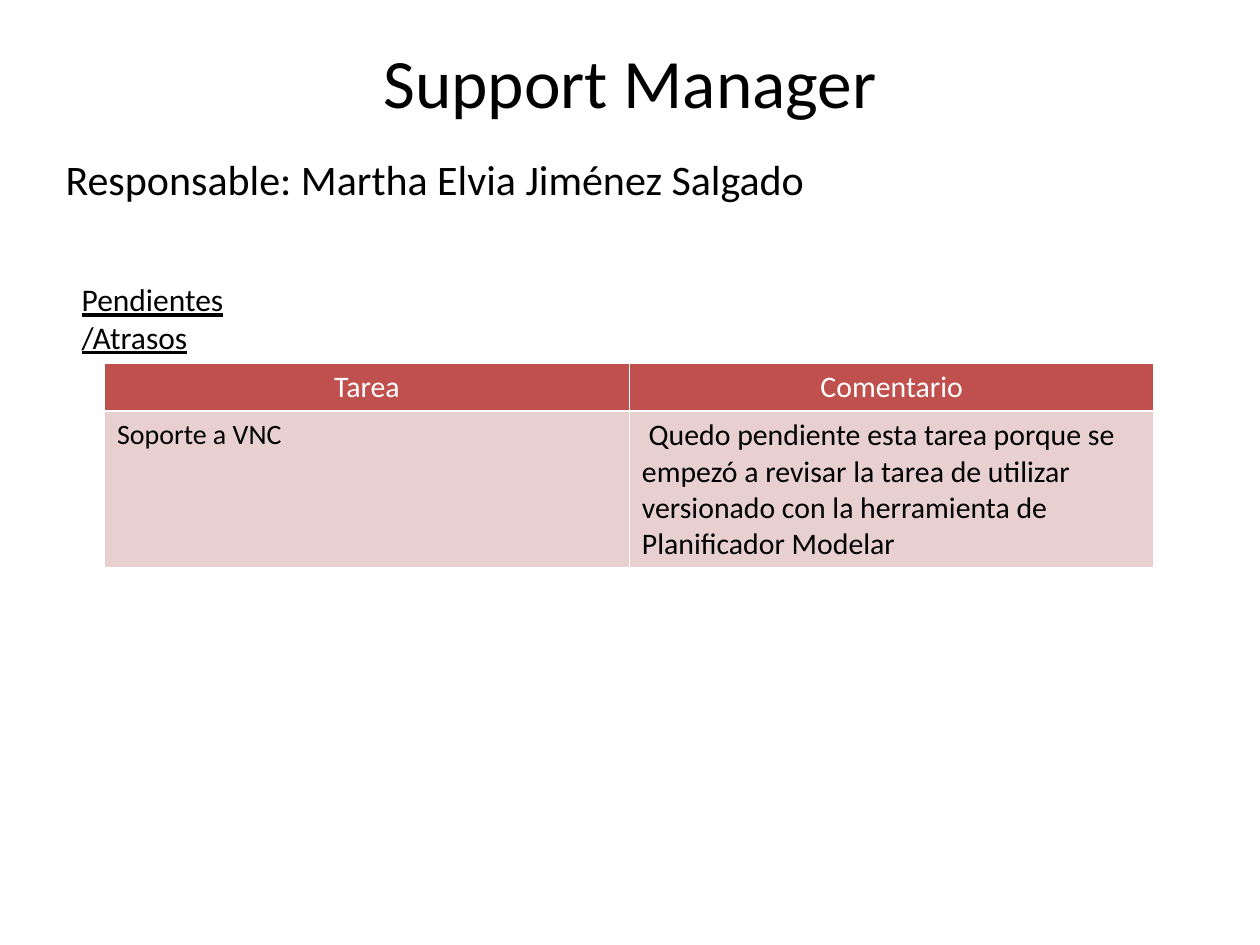
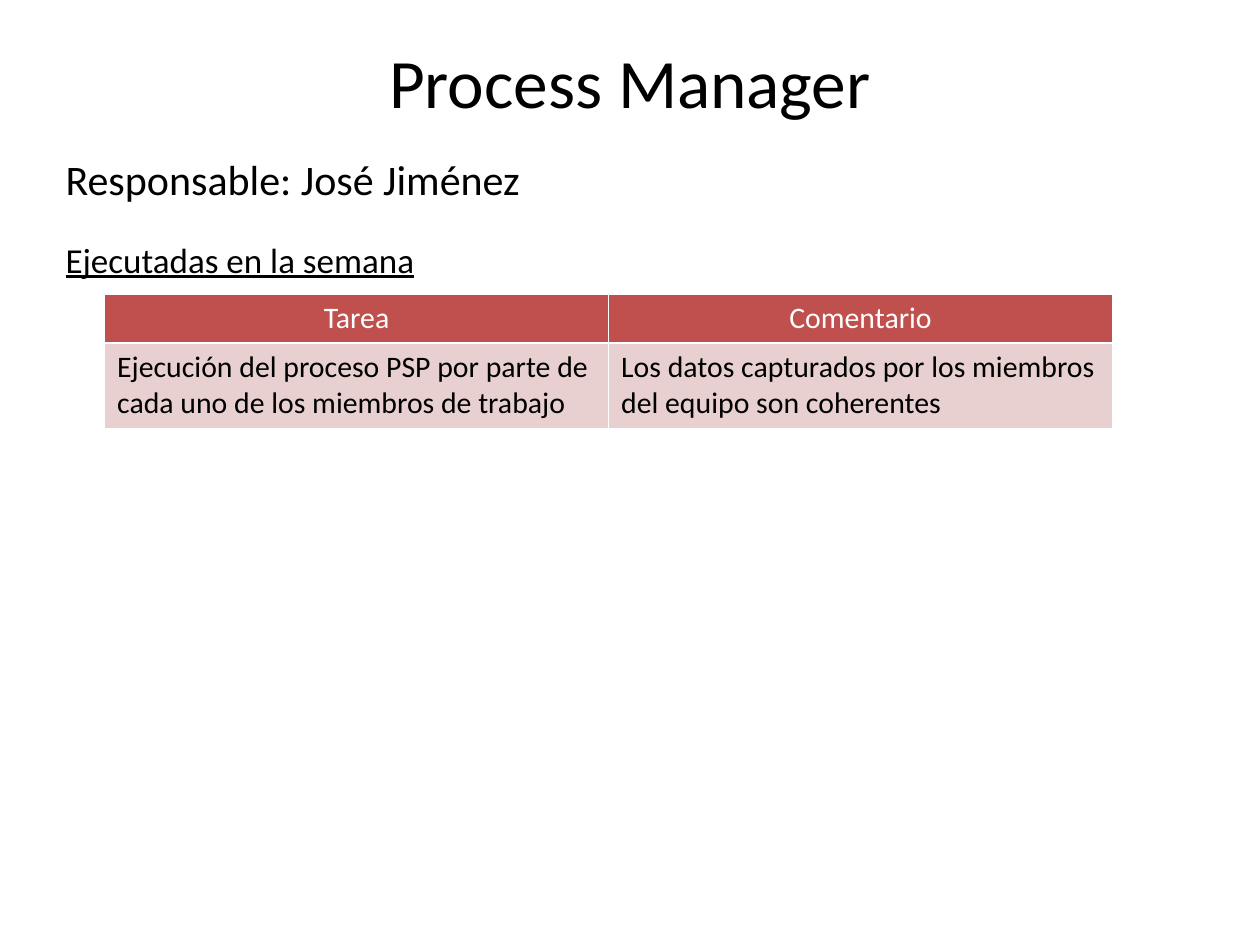
"""Builds two weekly status slides, each with a lead and a task table."""
from dataclasses import dataclass
from typing import Optional

from lxml.etree import SubElement
from pptx import Presentation
from pptx.dml.color import RGBColor as Rgb
from pptx.enum.text import MSO_ANCHOR as Anchor, MSO_AUTO_SIZE as Fit, PP_ALIGN as Align
from pptx.oxml import parse_xml
from pptx.oxml.ns import nsdecls, qn
from pptx.util import Inches, Pt

WIDE, HIGH = Inches(10), Inches(7.5)


@dataclass(frozen=True)
class Theme:
    face: str = "Calibri"
    ink: str = "000000"
    white: str = "FFFFFF"
    head: str = "C0504D"
    row: str = "E8D0D0"
    title: float = 39.6
    lead: float = 24
    topic: float = 20
    note: float = 18
    cell: float = 17
    small: float = 16
    gap: float = 19.5
    rule: float = 1


@dataclass(frozen=True)
class Box:
    left: float
    top: float
    width: float
    height: float

    def place(self, shape) -> None:
        shape.left, shape.top, shape.width, shape.height = self.emu()

    def emu(self) -> tuple:
        return (int(WIDE * self.left), int(HIGH * self.top),
                int(WIDE * self.width), int(HIGH * self.height))


@dataclass(frozen=True)
class Task:
    name: str
    note: str
    size: float


@dataclass(frozen=True)
class Page:
    title: str
    lead: str
    grid: Box
    task: Task
    topic: Optional[str] = None
    label: Optional[str] = None


THEME = Theme()
TITLE = Box(0.05, 0.04, 0.9, 0.09)
BODY = Box(0.04, 0.16, 0.93, 0.17)
LABEL = Box(0.055, 0.29, 0.22, 0.05)
BODY = Box(0.042, 0.156, 0.933, 0.167)
HEADS = ("Tarea", "Comentario")
HEAD_ROW = Inches(0.38)
INDENT = Inches(0.38)

PAGES = (
    Page("Support Manager", "Responsable: Martha Elvia Jiménez Salgado",
         Box(0.083, 0.384, 0.833, 0.216),
         Task("Soporte a VNC",
              " Quedo pendiente esta tarea porque se empezó a revisar la tarea de "
              "utilizar versionado con la herramienta de Planificador Modelar",
              THEME.small),
         label="Pendientes /Atrasos"),
    Page("Process Manager", "Responsable: José Jiménez",
         Box(0.083, 0.311, 0.8, 0.14),
         Task("Ejecución del proceso PSP por parte de cada uno de los miembros de trabajo",
              "Los datos capturados por los miembros del equipo son coherentes",
              THEME.cell),
         topic="Ejecutadas en la semana"),
)


def write(para, text: str, size: float, color: str = THEME.ink,
          align: Align = Align.LEFT, under: bool = False) -> None:
    para.text = text
    para.alignment = align
    font = para.font
    font.name, font.size = THEME.face, Pt(size)
    font.color.rgb = Rgb.from_string(color)
    if under:
        font.underline = True


def hang(para) -> None:
    props = para._p.get_or_add_pPr()
    props.set("marL", str(INDENT))
    props.set("indent", str(-INDENT))
    rest = props.find(qn("a:defRPr"))
    SubElement(props, qn("a:buNone"))
    if rest is not None:
        props.append(rest)


def edge(cell) -> None:
    props = cell._tc.get_or_add_tcPr()
    for spot, side in enumerate("LRTB"):
        line = parse_xml(
            f'<a:ln{side} {nsdecls("a")} w="{Pt(THEME.rule)}"><a:solidFill>'
            f'<a:srgbClr val="{THEME.white}"/></a:solidFill></a:ln{side}>')
        props.insert(spot, line)


def fill(cell, text: str, size: float, back: str, color: str, align: Align) -> None:
    cell.fill.solid()
    cell.fill.fore_color.rgb = Rgb.from_string(back)
    edge(cell)
    write(cell.text_frame.paragraphs[0], text, size, color, align)


def add_grid(slide, box: Box, task: Task) -> None:
    table = slide.shapes.add_table(2, len(HEADS), *box.emu()).table
    table.rows[0].height = HEAD_ROW
    table.rows[1].height = box.emu()[3] - HEAD_ROW
    sizes = (task.size, THEME.cell)
    for col, (head, text, size) in enumerate(zip(HEADS, (task.name, task.note), sizes)):
        fill(table.cell(0, col), head, THEME.cell, THEME.head, THEME.white, Align.CENTER)
        fill(table.cell(1, col), text, size, THEME.row, THEME.ink, Align.LEFT)


def add_body(slide, page: Page) -> None:
    body = slide.placeholders[1]
    BODY.place(body)
    frame = body.text_frame
    frame.auto_size = Fit.NONE
    first = frame.paragraphs[0]
    write(first, page.lead, THEME.lead)
    hang(first)
    if page.topic:
        para = frame.add_paragraph()
        write(para, page.topic, THEME.topic, under=True)
        para.space_before = Pt(THEME.gap)
        hang(para)


def add_label(slide, text: str) -> None:
    frame = slide.shapes.add_textbox(*LABEL.emu()).text_frame
    frame.word_wrap = False
    frame.auto_size = Fit.SHAPE_TO_FIT_TEXT
    write(frame.paragraphs[0], text, THEME.note, under=True)


def add_page(deck, page: Page) -> None:
    slide = deck.slides.add_slide(deck.slide_layouts[1])
    title = slide.shapes.title
    TITLE.place(title)
    title.text_frame.auto_size = Fit.NONE
    title.text_frame.vertical_anchor = Anchor.MIDDLE
    write(title.text_frame.paragraphs[0], page.title, THEME.title, align=Align.CENTER)
    add_body(slide, page)
    if page.label:
        add_label(slide, page.label)
    add_grid(slide, page.grid, page.task)


def main() -> None:
    deck = Presentation()
    deck.slide_width, deck.slide_height = WIDE, HIGH
    for page in PAGES:
        add_page(deck, page)
    deck.save("out.pptx")


if __name__ == "__main__":
    main()
